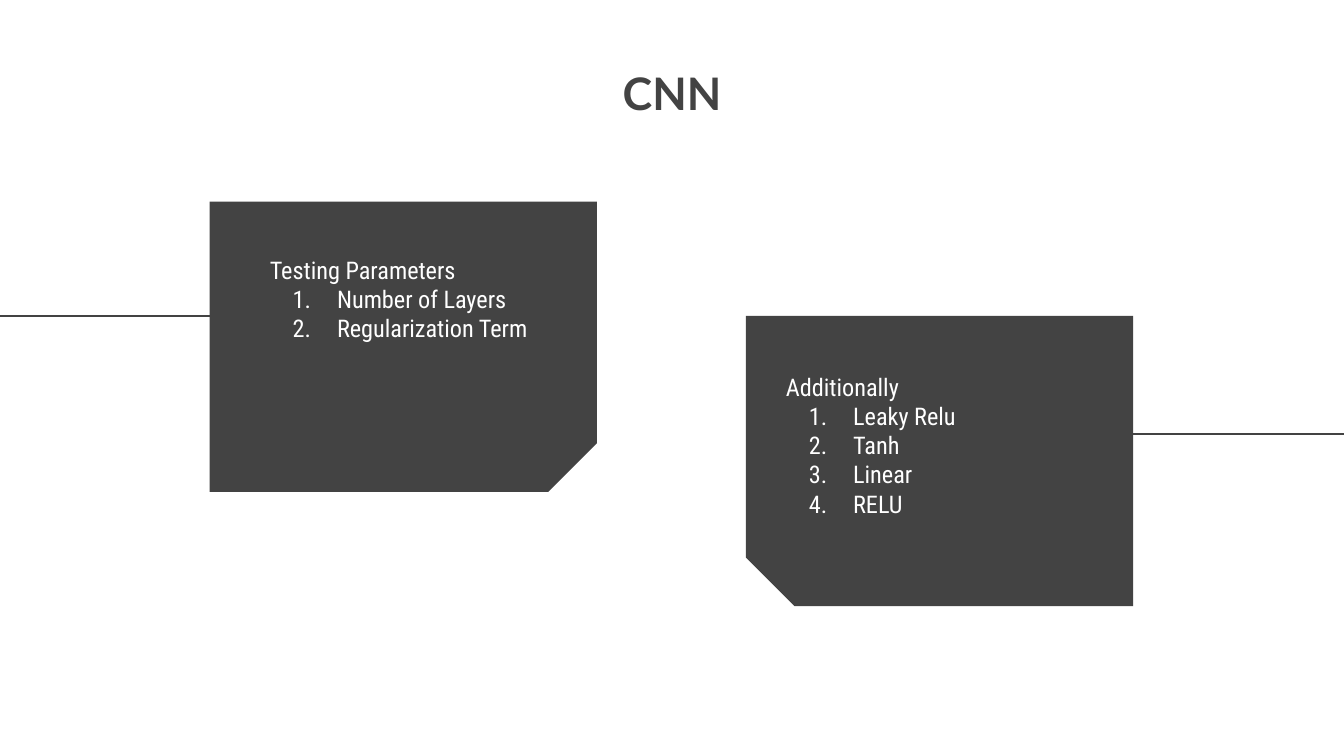
from typing import NamedTuple

from lxml import etree
from pptx import Presentation
from pptx.dml.color import RGBColor
from pptx.enum.shapes import MSO_CONNECTOR, MSO_SHAPE
from pptx.enum.text import MSO_ANCHOR, PP_ALIGN
from pptx.oxml.ns import qn
from pptx.slide import Slide
from pptx.util import Inches, Pt

CHARCOAL = RGBColor(0x43, 0x43, 0x43)
WHITE = RGBColor(0xFF, 0xFF, 0xFF)
STRAIGHT = MSO_CONNECTOR.STRAIGHT
SNIPPED = MSO_SHAPE.SNIP_1_RECTANGLE
TOP = MSO_ANCHOR.TOP
LEFT = PP_ALIGN.LEFT
CENTER = PP_ALIGN.CENTER

SLIDE_WIDTH = Inches(10)
SLIDE_HEIGHT = SLIDE_WIDTH * 9 // 16
CARD_WIDTH, CARD_HEIGHT = 2.16, 2.88
SNIP = 0.167
TEXT_WIDTH = 2.36
MARGIN = 0.1
LIST_INDENT, LIST_HANGING = 0.5, 0.33


class Card(NamedTuple):
    left: float
    top: float
    rotation: int
    mirrored: bool
    line_start: float
    line_end: float
    line_y: float
    text_left: float
    text_top: float
    text_height: float
    heading: str
    items: list[str]


CARDS = [
    Card(5.91, 1.99, 270, True, 10.14, 7.31, 3.23, 5.75, 2.67, 1.1,
         "Additionally", ["Leaky Relu", "Tanh", "Linear", "RELU"]),
    Card(1.92, 1.14, 90, False, 2.65, -0.02, 2.35, 1.91, 1.8, 0.86,
         "Testing Parameters", ["Number of Layers", "Regularization Term"]),
]


def add_numbering(paragraph) -> None:
    properties = paragraph._p.get_or_add_pPr()
    properties.set("marL", str(Inches(LIST_INDENT)))
    properties.set("indent", str(-Inches(LIST_HANGING)))
    color = etree.SubElement(properties, qn("a:buClr"))
    etree.SubElement(color, qn("a:srgbClr"), val=str(WHITE))
    etree.SubElement(properties, qn("a:buAutoNum"), type="arabicPeriod")


def add_text(slide: Slide, text: str, *, left: float, top: float, width: float,
             height: float, size: float, font: str, color: RGBColor,
             bold: bool = False, align: PP_ALIGN = LEFT,
             items: tuple[str, ...] | list[str] = ()) -> None:
    box = slide.shapes.add_textbox(Inches(left), Inches(top), Inches(width), Inches(height))
    frame = box.text_frame
    frame.word_wrap = True
    frame.vertical_anchor = TOP
    frame.margin_left = frame.margin_right = Inches(MARGIN)
    frame.margin_top = frame.margin_bottom = Inches(MARGIN)
    for index, line in enumerate([text, *items]):
        paragraph = frame.add_paragraph() if index else frame.paragraphs[0]
        if index:
            add_numbering(paragraph)
        paragraph.alignment = align
        run = paragraph.add_run()
        run.text = line
        run.font.name = font
        run.font.size = Pt(size)
        run.font.bold = bold
        run.font.color.rgb = color


def add_card(slide: Slide, card: Card) -> None:
    shape = slide.shapes.add_shape(SNIPPED, Inches(card.left), Inches(card.top),
                                   Inches(CARD_WIDTH), Inches(CARD_HEIGHT))
    shape.adjustments[0] = SNIP
    shape.rotation = card.rotation
    if card.mirrored:
        shape._element.spPr.xfrm.set("flipH", "1")
    shape.shadow.inherit = False
    shape.fill.solid()
    shape.fill.fore_color.rgb = CHARCOAL
    shape.line.fill.background()


def add_line(slide: Slide, card: Card) -> None:
    line = slide.shapes.add_connector(STRAIGHT, Inches(card.line_start), Inches(card.line_y),
                                      Inches(card.line_end), Inches(card.line_y))
    line.line.color.rgb = CHARCOAL
    line.line.width = Pt(0.75)
    etree.SubElement(line._element.spPr, qn("a:effectLst"))


def main() -> None:
    presentation = Presentation()
    presentation.slide_width = SLIDE_WIDTH
    presentation.slide_height = SLIDE_HEIGHT
    slide = presentation.slides.add_slide(presentation.slide_layouts[6])

    for card in CARDS:
        add_card(slide, card)
        add_line(slide, card)

    add_text(slide, "CNN", left=2.15, top=0.39, width=5.7, height=1.03,
             size=24, font="Lato", color=CHARCOAL, bold=True, align=CENTER)
    for card in reversed(CARDS):
        add_text(slide, card.heading, left=card.text_left, top=card.text_top,
                 width=TEXT_WIDTH, height=card.text_height, size=13,
                 font="Roboto Condensed", color=WHITE, items=card.items)

    presentation.save("out.pptx")


if __name__ == "__main__":
    main()
